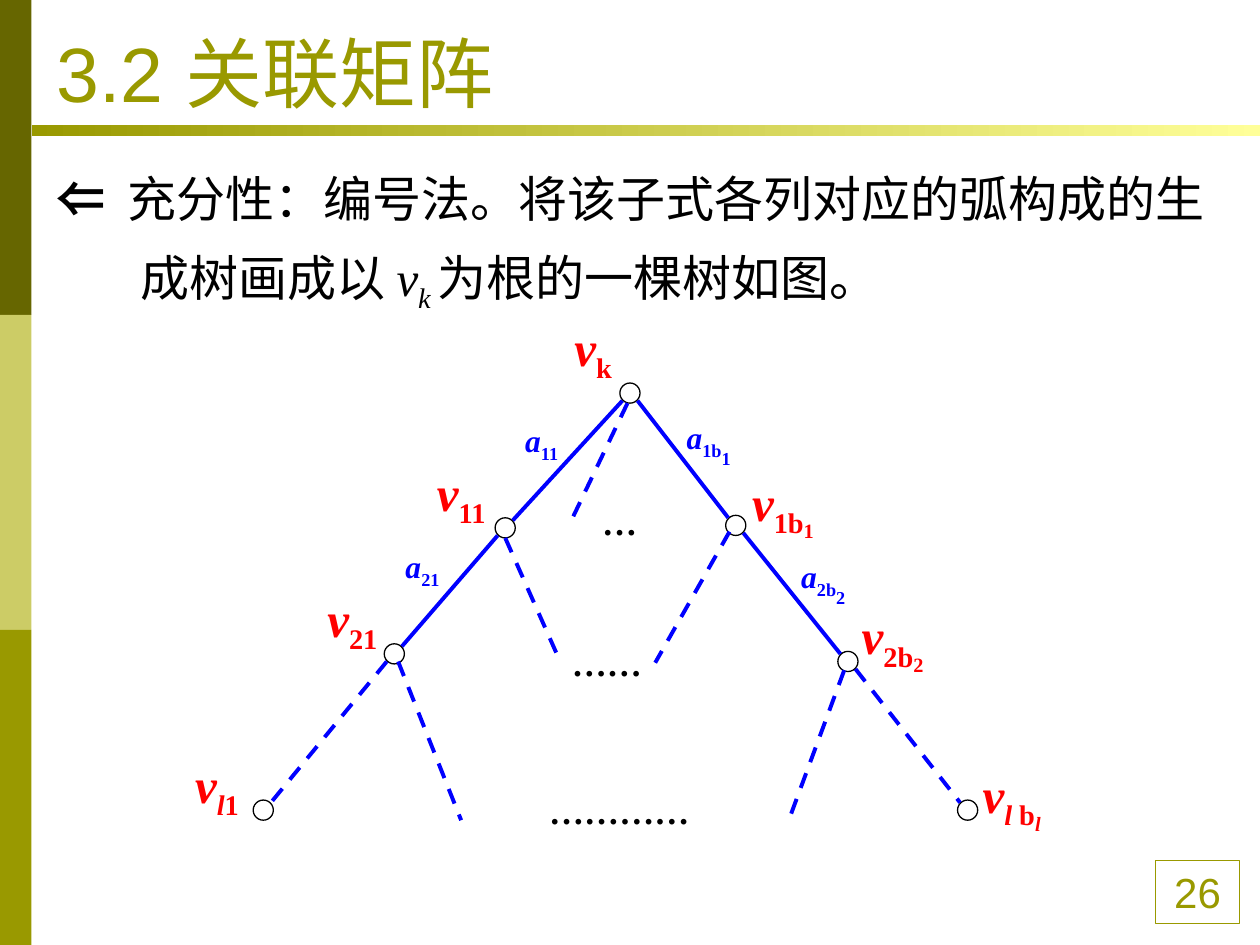
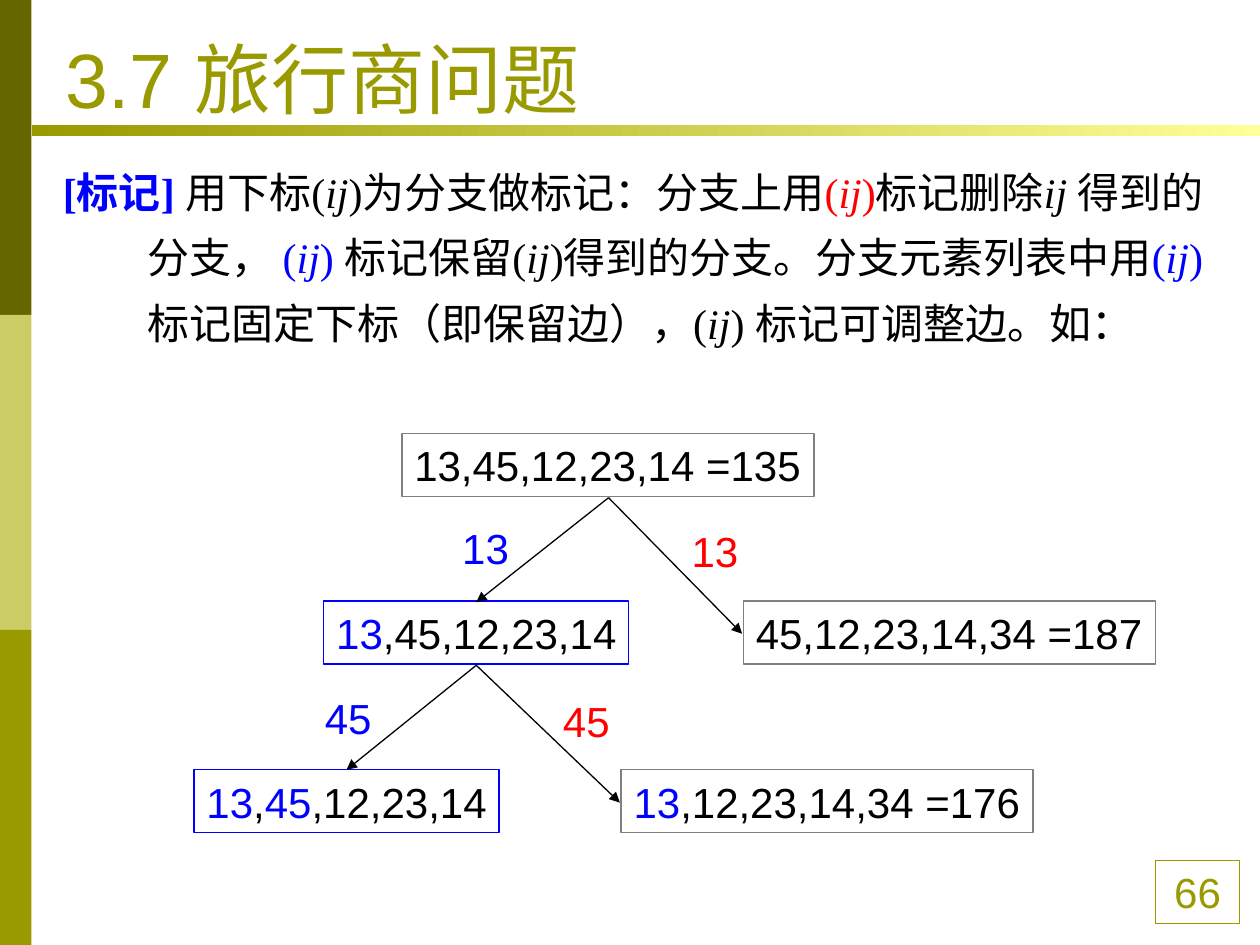
from typing import Iterable, NamedTuple

import pptx
import pptx.dml.color
import pptx.enum.dml
import pptx.enum.shapes
import pptx.enum.text
import pptx.oxml
import pptx.oxml.ns
import pptx.util

Inches = pptx.util.Inches
Pt = pptx.util.Pt
RGBColor = pptx.dml.color.RGBColor
Align = pptx.enum.text.PP_ALIGN
Anchor = pptx.enum.text.MSO_ANCHOR
Shape = pptx.enum.shapes.MSO_SHAPE

OLIVE = RGBColor(0x99, 0x99, 0x00)
DARK_OLIVE = RGBColor(0x66, 0x66, 0x00)
LIGHT_OLIVE = RGBColor(0xCC, 0xCC, 0x66)
PALE_YELLOW = RGBColor(0xFF, 0xFF, 0x99)
BLACK = RGBColor(0x00, 0x00, 0x00)
WHITE = RGBColor(0xFF, 0xFF, 0xFF)
GREY = RGBColor(0x80, 0x80, 0x80)
RED = RGBColor(0xFF, 0x00, 0x00)
BLUE = RGBColor(0x00, 0x00, 0xFF)

SANS = "Arial"
SERIF = "Times New Roman"
NODE_SIZE = 0.16
EDGE_OFFSET = 0.06  # where an edge leaves a node, along x and y


class Point(NamedTuple):
    x: float
    y: float


class Box(NamedTuple):
    left: float
    top: float
    width: float
    height: float

    def lengths(self) -> list[int]:
        return [Inches(value) for value in self]


class Run(NamedTuple):
    text: str
    color: RGBColor = BLACK
    size: float = 24
    font: str = SANS
    bold: bool = False
    italic: bool = False
    baseline: int = 0


class TreeLabel(NamedTuple):
    """A letter with a subscript and, if any, a subscript below that."""
    left: float
    top: float
    width: float
    sub: str
    subsub: str = ""


class BranchBox(NamedTuple):
    left: float
    top: float
    width: float
    line: RGBColor
    runs: list[Run]


def add_text(p, text: str, *, color: RGBColor, size: float, font: str,
             bold: bool, italic: bool, baseline: int) -> None:
    r = p.add_run()
    r.text = text
    r.font.size = Pt(size)
    r.font.name = font
    r.font.bold = bold
    r.font.italic = italic
    r.font.color.rgb = color
    if baseline:
        r._r.get_or_add_rPr().set("baseline", str(baseline * 1000))


def fill_frame(tf, runs: Iterable[Run], *, wrap: bool = True,
               align=Align.LEFT, anchor=Anchor.TOP):
    tf.word_wrap = wrap
    tf.auto_size = pptx.enum.text.MSO_AUTO_SIZE.NONE
    tf.vertical_anchor = anchor
    p = tf.paragraphs[0]
    p.alignment = align
    for run in runs:
        add_text(p, **run._asdict())
    return p


def add_text_box(s, box: Box, runs: Iterable[Run], wrap: bool = True):
    sp = s.shapes.add_textbox(*box.lengths())
    return fill_frame(sp.text_frame, runs, wrap=wrap)


def add_body(s, box: Box, runs: Iterable[Run]) -> None:
    """Add a paragraph with a hanging indent and wide line spacing."""
    p = add_text_box(s, box, runs)
    p.line_spacing = 1.3
    pPr = p._p.get_or_add_pPr()
    pPr.set("marL", str(Inches(0.67)))
    pPr.set("indent", str(-Inches(0.67)))


def add_preset(s, kind, box: Box, fill: RGBColor | None = None,
               line: RGBColor | None = None):
    sp = s.shapes.add_shape(kind, *box.lengths())
    sp.shadow.inherit = False
    if fill is None:
        sp.fill.background()
    else:
        sp.fill.solid()
        sp.fill.fore_color.rgb = fill
    if line is None:
        sp.line.fill.background()
    else:
        sp.line.color.rgb = line
        sp.line.width = Pt(0.75)
    return sp


def add_line(s, start: Point, end: Point, color: RGBColor, width: float,
             dashed: bool = False, arrow: bool = False) -> None:
    ends = [Inches(value) for value in (*start, *end)]
    line = s.shapes.add_connector(
        pptx.enum.shapes.MSO_CONNECTOR.STRAIGHT, *ends)
    line.line.color.rgb = color
    line.line.width = Pt(width)
    if dashed:
        line.line.dash_style = pptx.enum.dml.MSO_LINE.DASH
    spPr = line._element.spPr
    if arrow:
        ln = line.line._get_or_add_ln()
        ln.append(pptx.oxml.parse_xml(
            f'<a:tailEnd {pptx.oxml.ns.nsdecls("a")} type="triangle"/>'))
    spPr.append(pptx.oxml.parse_xml(
        f'<a:effectLst {pptx.oxml.ns.nsdecls("a")}/>'))


def add_framed_slide(prs, title: str, left: float, top: float, number: int):
    """Add a slide with its side bands, title rule, title and page number."""
    s = prs.slides.add_slide(prs.slide_layouts[5])
    for i, color in enumerate((DARK_OLIVE, LIGHT_OLIVE, OLIVE)):
        add_preset(s, Shape.RECTANGLE, Box(0, 2.5 * i, 0.25, 2.5), color)

    rule = add_preset(s, Shape.RECTANGLE, Box(0.25, 0.99, 9.75, 0.09))
    rule.fill.gradient()
    rule.fill.gradient_angle = 0
    for stop, position, color in zip(rule.fill.gradient_stops, (0, 1),
                                     (OLIVE, PALE_YELLOW)):
        stop.position = position
        stop.color.rgb = color

    page = add_preset(s, Shape.RECTANGLE, Box(9.17, 6.83, 0.67, 0.5),
                      line=OLIVE)
    fill_frame(page.text_frame, [Run(str(number), OLIVE)], align=Align.CENTER)

    sp = s.shapes.title
    sp.left, sp.top, sp.width, sp.height = Box(left, top, 9, 0.86).lengths()
    fill_frame(sp.text_frame, [Run(title, OLIVE, 44)], anchor=Anchor.BOTTOM)
    return s


def add_tree_edge(s, start: Point, end: Point, dashed: bool) -> None:
    dx = EDGE_OFFSET if end.x > start.x else -EDGE_OFFSET
    add_line(s, Point(start.x + dx, start.y + EDGE_OFFSET),
             Point(end.x - dx, end.y - EDGE_OFFSET), BLUE, 2.25, dashed)


def add_tree_label(s, label: TreeLabel, letter: str, color: RGBColor,
                   size: float, subsub_size: float, height: float) -> None:
    base = Run(letter, color, size, SERIF, bold=True, italic=True)
    runs = [base]
    for part in label.sub.partition("l"):
        if part:
            runs.append(base._replace(text=part, italic=part == "l",
                                      baseline=-25))
    if label.subsub:
        runs.append(base._replace(text=label.subsub, size=subsub_size,
                                  italic=label.subsub == "l", baseline=-50))
    add_text_box(s, Box(label.left, label.top, label.width, height), runs,
                 wrap=bool(label.subsub))


def build_incidence_matrix(prs) -> None:
    s = add_framed_slide(prs, "3.2 关联矩阵", 0.35, 0.13, 26)
    text = Run("", size=28, font=SERIF)
    add_body(s, Box(0.35, 1.15, 9.37, 1.4), [
        Run("⇐  ", size=28, bold=True),
        text._replace(text="充分性：编号法。将该子式各列对应的弧构成的生成树画成以 "),
        text._replace(text="v", italic=True),
        text._replace(text="k ", italic=True, baseline=-25),
        text._replace(text="为根的一棵树如图。"),
    ])

    root = Point(5, 3.12)
    left_path = [root, Point(4.01, 4.19), Point(3.13, 5.19), Point(2.09, 6.43)]
    right_path = [root, Point(5.84, 4.17), Point(6.73, 5.25), Point(7.68, 6.43)]
    for node in left_path + right_path[1:]:
        add_preset(s, Shape.OVAL, Box(node.x - NODE_SIZE / 2,
                                      node.y - NODE_SIZE / 2,
                                      NODE_SIZE, NODE_SIZE), WHITE, BLACK)
    for path_nodes in (left_path, right_path):
        for start, end in zip(path_nodes, path_nodes[1:]):
            add_tree_edge(s, start, end, dashed=end is path_nodes[-1])

    open_branches = [
        (Point(4.98, 3.2), Point(4.53, 4.14)),
        (Point(4.01, 4.27), Point(4.45, 5.26)),
        (Point(5.79, 4.22), Point(5.2, 5.26)),
        (Point(3.16, 5.25), Point(3.66, 6.51)),
        (Point(6.7, 5.32), Point(6.26, 6.51)),
    ]
    for start, end in open_branches:
        add_line(s, start, end, BLUE, 2.25, dashed=True)

    for label in (
        TreeLabel(4.46, 2.47, 0.5, "k"),
        TreeLabel(3.37, 3.62, 0.6, "11"),
        TreeLabel(5.87, 3.7, 0.78, "1b", "1"),
        TreeLabel(2.5, 4.62, 0.6, "21"),
        TreeLabel(6.74, 4.76, 0.78, "2b", "2"),
        TreeLabel(1.45, 5.94, 0.55, "l1"),
        TreeLabel(7.7, 6.02, 0.74, "l b", "l"),
    ):
        add_tree_label(s, label, "v", RED, 28, 20, 0.63)
    for label in (
        TreeLabel(4.07, 3.29, 0.47, "11"),
        TreeLabel(3.12, 4.29, 0.47, "21"),
        TreeLabel(5.35, 3.27, 0.78, "1b", "1"),
        TreeLabel(6.26, 4.37, 0.79, "2b", "2"),
    ):
        add_tree_label(s, label, "a", BLUE, 18, 18, 0.44)
    for left, top, width, count in ((4.69, 3.92, 0.48, 1),
                                    (4.45, 5.04, 0.75, 2),
                                    (4.27, 6.22, 1.31, 4)):
        dots = Run("…" * count, size=20, font=SERIF, bold=True, italic=True)
        add_text_box(s, Box(left, top, width, 0.44), [dots], wrap=False)


def serif(text: str, color: RGBColor = BLACK, **fmt) -> Run:
    return Run(text, color, font=SERIF, **fmt)


def index_pair(color: RGBColor = BLACK, close: str = ")") -> list[Run]:
    """Return the runs of (ij) in one colour."""
    return [serif("(", color), serif("ij", color, italic=True),
            serif(close, color)]


def build_travelling_salesman(prs) -> None:
    s = add_framed_slide(prs, "3.7 旅行商问题", 0.42, 0.17, 66)
    add_body(s, Box(0.4, 1.15, 9.41, 2.18), [
        serif("[标记] ", BLUE, bold=True),
        serif("用下标"), *index_pair(),
        serif("为分支做标记：分支上用"), *index_pair(RED),
        serif("标记删除"), serif("ij ", italic=True),
        serif("得到的分支， "), *index_pair(BLUE, ") "),
        serif("标记保留"), *index_pair(),
        serif("得到的分支。分支元素列表中用"), *index_pair(BLUE, ") "),
        serif("标记固定下标（即保留边），"), *index_pair(close=") "),
        serif("标记可调整边。如："),
    ])

    for box in (
        BranchBox(3.19, 3.44, 3.27, GREY, [Run("13,45,12,23,14 =135")]),
        BranchBox(5.9, 4.77, 3.27, GREY, [Run("45,12,23,14,34 =187")]),
        BranchBox(2.57, 4.77, 2.42, BLUE,
                  [Run("13", BLUE), Run(",45,12,23,14")]),
        BranchBox(4.93, 6.11, 3.27, GREY,
                  [Run("13", BLUE), Run(",12,23,14,34 =176")]),
        BranchBox(1.54, 6.11, 2.42, BLUE,
                  [Run("13", BLUE), Run(","), Run("45", BLUE),
                   Run(",12,23,14")]),
    ):
        sp = add_preset(s, Shape.RECTANGLE,
                        Box(box.left, box.top, box.width, 0.5), line=box.line)
        fill_frame(sp.text_frame, box.runs, wrap=False)

    for start, kept, deleted in (
        (Point(4.83, 3.95), Point(3.78, 4.78), Point(5.89, 5.03)),
        (Point(3.78, 5.28), Point(2.75, 6.11), Point(4.92, 6.37)),
    ):
        for end in (kept, deleted):
            add_line(s, start, end, BLACK, 0.75, arrow=True)
    for text, top, kept_left, deleted_left in (("13", 4.1, 3.57, 5.39),
                                               ("45", 5.45, 2.48, 4.37)):
        add_text_box(s, Box(kept_left, top, 0.57, 0.5),
                     [Run(text, BLUE)], wrap=False)
        add_text_box(s, Box(deleted_left, top + 0.02, 0.57, 0.5),
                     [Run(text, RED)], wrap=False)


def main() -> None:
    prs = pptx.Presentation()
    prs.slide_width = Inches(10)
    prs.slide_height = Inches(7.5)
    build_incidence_matrix(prs)
    build_travelling_salesman(prs)
    prs.save("out.pptx")


if __name__ == "__main__":
    main()
